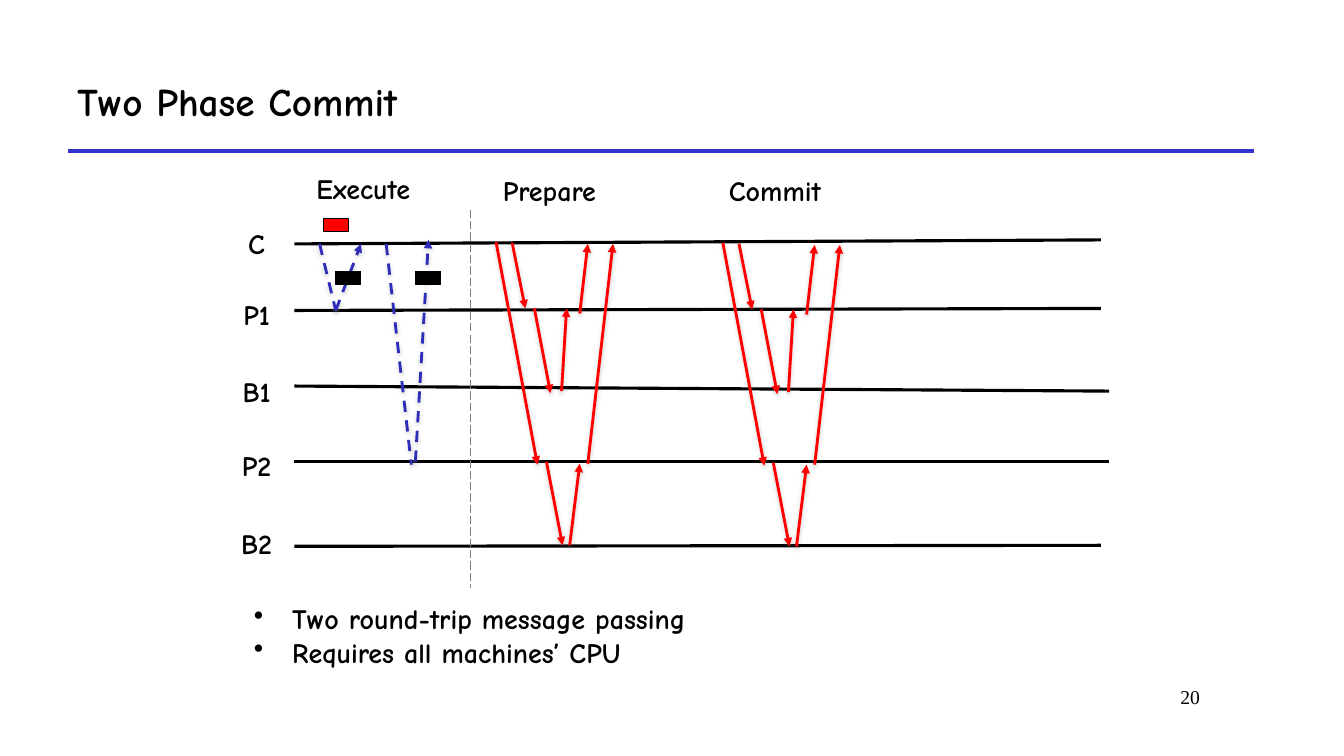
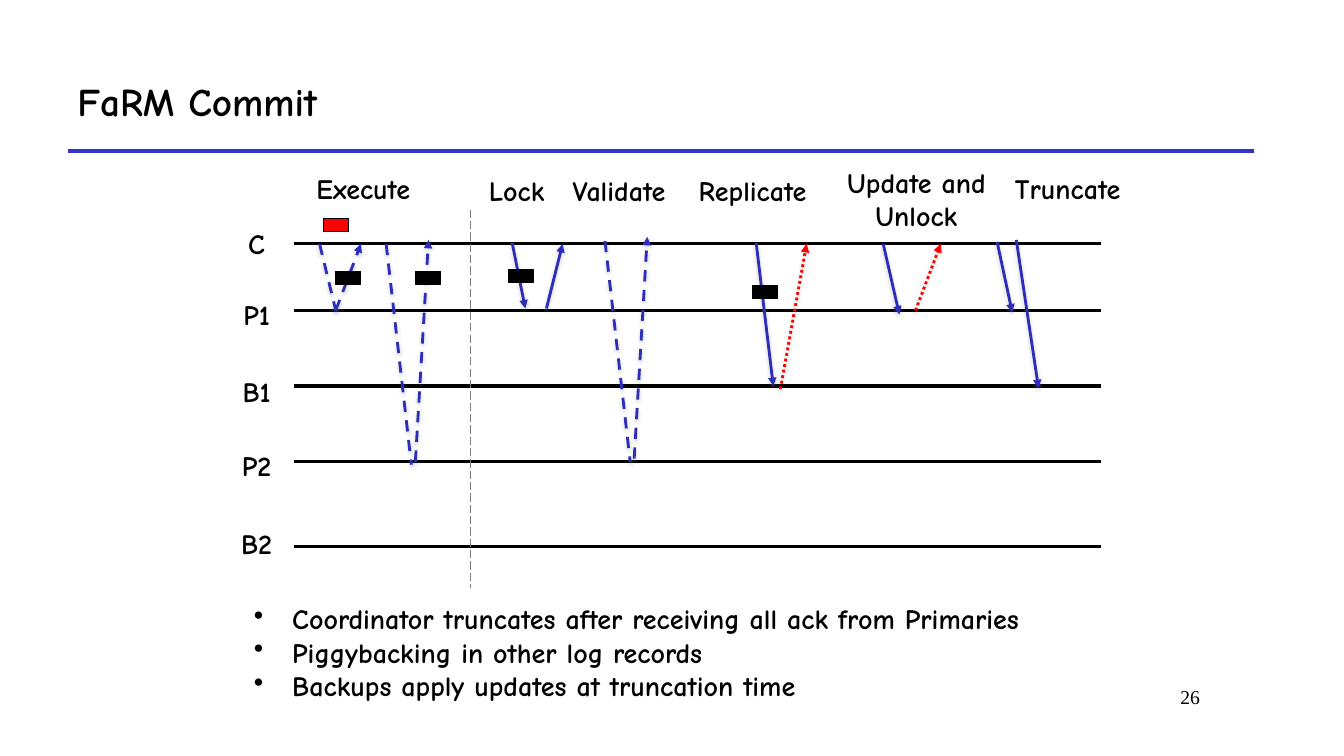
"""Builds two slides that compare commit protocols as message timelines."""
from lxml.etree import SubElement
from pptx import Presentation
from pptx.dml.color import RGBColor
from pptx.enum.dml import MSO_LINE
from pptx.enum.shapes import MSO_CONNECTOR, MSO_SHAPE
from pptx.enum.text import MSO_ANCHOR, PP_ALIGN
from pptx.oxml.ns import qn
from pptx.util import Inches, Pt

COLORS = {"ink": "000000", "rule": "3333CC", "message": "2D2DB9", "alert": "FF0000", "divider": "808080"}
FONT, NUMBER_FONT = "Comic Neue", "Times New Roman"
LANE_LEFT, LANE_RIGHT = 2.92, 10.92
LANES = {"C": (2.42, 2.2), "P1": (3.08, 2.9), "B1": (3.83, 3.67), "P2": (4.58, 4.4), "B2": (5.42, 5.17)}
SLANTED_ENDS = {"C": (10.92, 2.38), "P1": (10.92, 3.06), "B1": (11, 3.88), "P2": (11, 4.58), "B2": (10.92, 5.41)}
LEVEL_ENDS = {name: (LANE_RIGHT, line_y) for name, (line_y, _) in LANES.items()}
ROUND_TRIP = [
    (5.08, 2.41, 5.21, 3.06), (5.3, 3.06, 5.46, 3.9), (4.92, 2.4, 5.33, 4.61), (5.42, 4.58, 5.58, 5.41),
    (5.65, 5.41, 5.75, 4.6), (5.83, 4.6, 6.08, 2.42), (5.57, 3.88, 5.62, 3.06), (5.75, 3.11, 5.83, 2.42),
]


class Deck:
    """Holds the shared style and the slide being built."""

    def __init__(self):
        self.presentation = Presentation()
        self.presentation.slide_width = Inches(13.33)
        self.presentation.slide_height = Inches(7.5)
        self.slide = None

    def color(self, name):
        return RGBColor.from_string(COLORS[name])

    def start(self, title, number):
        self.slide = self.presentation.slides.add_slide(self.presentation.slide_layouts[6])
        self.line(0.67, 1.5, 12.44, 1.5, "rule", 3)
        self.text([title], 0.67, 0.5, 11.78, 1, size=28, anchor=MSO_ANCHOR.MIDDLE)
        self.text([number], 10.11, 6.75, 1.89, 0.5, PP_ALIGN.RIGHT, 14, NUMBER_FONT, bold=False)

    def text(self, lines, left, top, width, height=0.44, align=PP_ALIGN.LEFT, size=20,
             font=FONT, bold=True, anchor=MSO_ANCHOR.TOP, bullets=False):
        box = self.slide.shapes.add_textbox(Inches(left), Inches(top), Inches(width), Inches(height))
        frame = box.text_frame
        frame.word_wrap = True
        frame.vertical_anchor = anchor
        frame.text = "\n".join(lines)
        for paragraph in frame.paragraphs:
            paragraph.alignment = align
            paragraph.font.name = font
            paragraph.font.size = Pt(size)
            paragraph.font.bold = bold
            paragraph.font.color.rgb = self.color("ink")
            if bullets:
                self.bullet(paragraph)

    def bullet(self, paragraph):
        properties = paragraph._p.get_or_add_pPr()
        properties.set("marL", str(Inches(0.38)))
        properties.set("indent", str(-Inches(0.38)))
        mark = properties.makeelement(qn("a:buChar"), {"char": "•"})
        properties.insert(0, mark)

    def line(self, x1, y1, x2, y2, color, width, dash=None):
        connector = self.slide.shapes.add_connector(
            MSO_CONNECTOR.STRAIGHT, Inches(x1), Inches(y1), Inches(x2), Inches(y2))
        connector.line.color.rgb = self.color(color)
        connector.line.width = Pt(width)
        if dash:
            connector.line.dash_style = dash
        SubElement(connector._element.spPr, qn("a:effectLst"))
        return connector

    def message(self, x1, y1, x2, y2, color="message", dash=None, arrow=True):
        connector = self.line(x1, y1, x2, y2, color, 2, dash)
        properties = connector._element.spPr
        if arrow:
            SubElement(properties.find(qn("a:ln")), qn("a:tailEnd"), type="triangle")
        shadow = SubElement(properties.find(qn("a:effectLst")), qn("a:outerShdw"), blurRad=str(Pt(3.1)),
                            dist=str(Pt(1.6)), dir="5400000", rotWithShape="0")
        shade = SubElement(shadow, qn("a:srgbClr"), val=COLORS["divider"])
        SubElement(shade, qn("a:alpha"), val="38000")

    def read(self, down, up):
        self.message(*up, dash=MSO_LINE.DASH)
        self.message(*down, dash=MSO_LINE.DASH, arrow=False)

    def record(self, left, top, color="ink"):
        shape = self.slide.shapes.add_shape(
            MSO_SHAPE.RECTANGLE, Inches(left), Inches(top), Inches(0.25), Inches(0.13))
        shape.shadow.inherit = False
        shape.fill.solid()
        shape.fill.fore_color.rgb = self.color(color)
        shape.line.color.rgb = self.color("ink")
        shape.line.width = Pt(0.75)

    def timeline(self, lane_ends):
        for name, (line_y, label_top) in LANES.items():
            self.line(LANE_LEFT, line_y, *lane_ends[name], "ink", 2.25)
            self.text([name], 2.17, label_top, 0.75, align=PP_ALIGN.CENTER)
        self.read((3.17, 2.42, 3.33, 3.08), (3.33, 3.08, 3.58, 2.42))
        self.read((3.83, 2.42, 4.08, 4.61), (4.12, 4.58, 4.25, 2.38))
        self.record(3.33, 2.69)
        self.record(4.12, 2.69)
        self.record(3.21, 2.17, "alert")
        self.text(["Execute"], 3.04, 1.65, 1.38)
        self.line(4.67, 2.08, 4.67, 5.83, "divider", 0.75, MSO_LINE.LONG_DASH)


def two_phase_commit(deck):
    deck.start("Two Phase Commit", "20")
    deck.timeline(SLANTED_ENDS)
    for phase, left, shift, drop in (("Prepare", 4.89, 0, 0), ("Commit", 7.13, 2.25, 0.01)):
        for x1, y1, x2, y2 in ROUND_TRIP:
            deck.message(x1 + shift, y1 + drop, x2 + shift, y2 + drop, "alert")
        deck.text([phase], left, 1.67, 1.38)
    deck.text(["Two round-trip message passing", "Requires all machines’ CPU"],
              2.42, 5.92, 5, 0.77, bullets=True)


def farm_commit(deck):
    deck.start("FaRM Commit", "26")
    deck.timeline(LEVEL_ENDS)
    for phase, left, width in (("Lock", 4.75, 1.38), ("Validate", 5.58, 1.38), ("Replicate", 6.83, 1.51)):
        deck.text([phase], left, 1.67, width)
    deck.text(["Update and Unlock"], 8.17, 1.59, 1.84, 0.77, PP_ALIGN.CENTER)
    deck.text(["Truncate"], 9.67, 1.65, 1.84, align=PP_ALIGN.CENTER)
    deck.read((6, 2.39, 6.25, 4.58), (6.29, 4.55, 6.42, 2.35))
    for ends in ((5.08, 2.41, 5.21, 3.06), (5.42, 3.06, 5.58, 2.42), (7.5, 2.41, 7.67, 3.83),
                 (8.76, 2.42, 8.92, 3.12), (9.89, 2.4, 10.04, 3.1), (10.08, 2.38, 10.3, 3.85)):
        deck.message(*ends)
    for ends in ((7.74, 3.86, 8, 2.42), (9.08, 3.08, 9.33, 2.42)):
        deck.message(*ends, "alert", MSO_LINE.ROUND_DOT)
    deck.record(5.04, 2.67)
    deck.record(7.46, 2.83)
    deck.text(["Coordinator truncates after receiving all ack from Primaries",
               "Piggybacking in other log records",
               "Backups apply updates at truncation time"], 2.42, 5.92, 8, 1.45, bullets=True)


def main():
    deck = Deck()
    two_phase_commit(deck)
    farm_commit(deck)
    deck.presentation.save("out.pptx")


if __name__ == "__main__":
    main()
